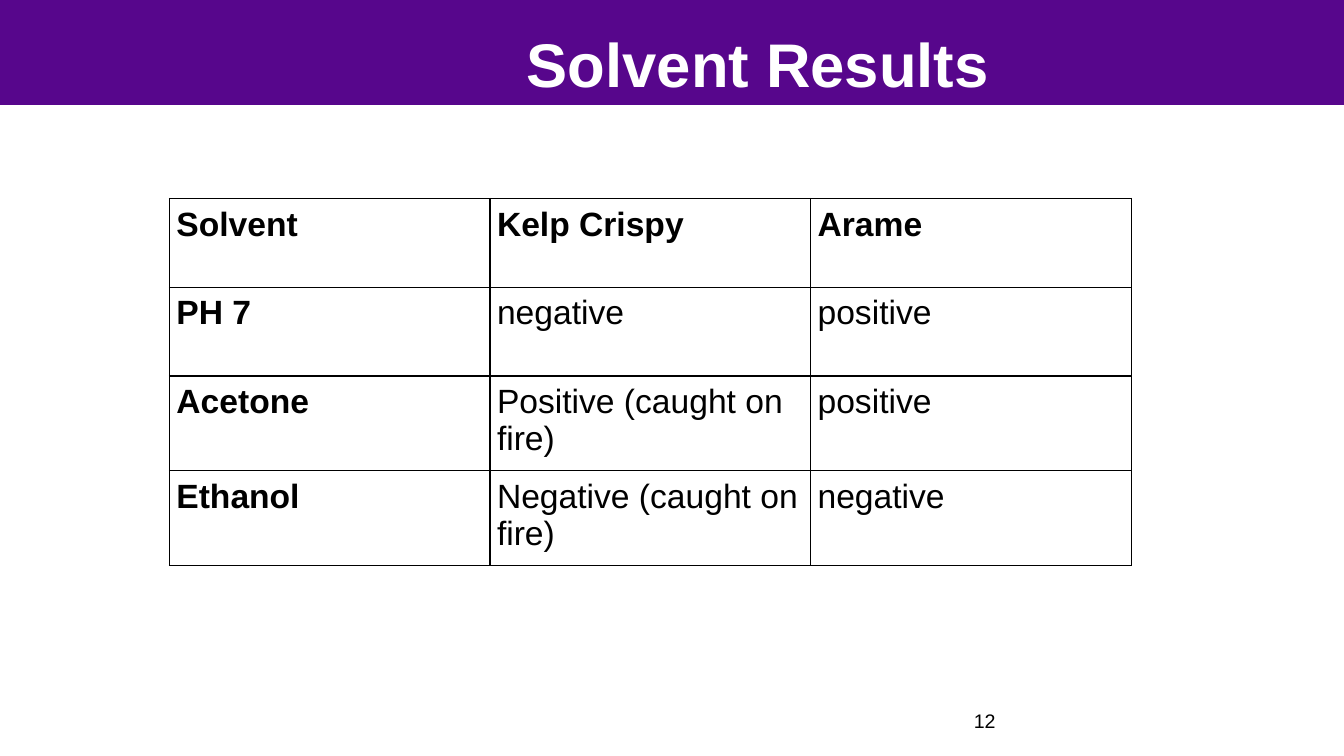
from dataclasses import dataclass

from lxml import etree
from pptx import Presentation
from pptx import util as u
from pptx.dml.color import RGBColor
from pptx.enum import shapes, text
from pptx.oxml.ns import qn

PX = 9144  # EMU in one px, 100 px to the inch


def px(n):
    return u.Emu(n * PX)


@dataclass(frozen=True)
class Theme:
    font: str = "Arial"
    purple: str = "57068C"
    white: str = "FFFFFF"
    black: str = "000000"
    title: int = 44
    cell: int = 24
    number: int = 14
    border: int = 1


def write(tf, content, font, size, color, bold=False, align=text.PP_ALIGN.LEFT,
          anchor=text.MSO_ANCHOR.TOP, insets=(10, 5, 10, 5)):
    tf.word_wrap = True
    tf.vertical_anchor = anchor
    tf.margin_left, tf.margin_top, tf.margin_right, tf.margin_bottom = map(px, insets)
    p = tf.paragraphs[0]
    p.alignment = align
    r = p.add_run()
    r.text = content
    r.font.name, r.font.size, r.font.bold = font, u.Pt(size), bold
    r.font.color.rgb = RGBColor.from_string(color)


class SlideBuilder:
    def __init__(self, prs, theme):
        self.theme = theme
        self.s = prs.slides.add_slide(prs.slide_layouts[6])

    def bar(self, x, y, w, h, color):
        sp = self.s.shapes.add_shape(shapes.MSO_SHAPE.RECTANGLE, px(x), px(y), px(w), px(h))
        sp.shadow.inherit = False
        sp.fill.solid()
        sp.fill.fore_color.rgb = RGBColor.from_string(color)
        sp.line.fill.background()

    def label(self, x, y, w, h, content, **style):
        sp = self.s.shapes.add_textbox(px(x), px(y), px(w), px(h))
        write(sp.text_frame, content, self.theme.font, **style)

    def border(self, cell):
        tc_pr = cell._tc.get_or_add_tcPr()
        for i, side in enumerate(("lnL", "lnR", "lnT", "lnB")):
            ln = etree.Element(qn(f"a:{side}"), w=str(u.Pt(self.theme.border)))
            fill = etree.SubElement(ln, qn("a:solidFill"))
            etree.SubElement(fill, qn("a:srgbClr"), val=self.theme.black)
            tc_pr.insert(i, ln)

    def table(self, x, y, col_w, row_h, rows):
        n_rows, n_cols = len(rows), len(rows[0])
        frame = self.s.shapes.add_table(n_rows, n_cols, px(x), px(y),
                                        px(col_w * n_cols), px(row_h * n_rows))
        table = frame.table
        table.horz_banding = False
        for col in table.columns:
            col.width = px(col_w)
        for i, row in enumerate(rows):
            table.rows[i].height = px(row_h)
            for j, content in enumerate(row):
                cell = table.cell(i, j)
                cell.fill.background()
                self.border(cell)
                cell.margin_left = cell.margin_right = px(7)
                cell.margin_top = cell.margin_bottom = px(7)
                write(cell.text_frame, content, self.theme.font, self.theme.cell,
                      self.theme.black, bold=i == 0 or j == 0, insets=(7, 7, 7, 7))


RESULTS = [
    ("Solvent", "Kelp Crispy", "Arame"),
    ("PH 7", "negative", "positive"),
    ("Acetone", "Positive (caught on fire)", "positive"),
    ("Ethanol", "Negative (caught on fire)", "negative"),
]


def main():
    prs = Presentation()
    prs.slide_width, prs.slide_height = px(1333), px(750)
    theme = Theme()
    slide = SlideBuilder(prs, theme)

    # Title bar
    slide.bar(0, 0, 1333, 104, theme.purple)
    slide.label(291, 11, 922, 85, "Solvent Results", size=theme.title, color=theme.white,
                bold=True, align=text.PP_ALIGN.CENTER, insets=(10, 15, 10, 0))

    # Results by solvent
    slide.table(168, 197, 318, 88, RESULTS)

    # Slide number
    slide.label(956, 695, 311, 40, "12", size=theme.number, color=theme.black,
                anchor=text.MSO_ANCHOR.MIDDLE)

    prs.save("out.pptx")


if __name__ == "__main__":
    main()
